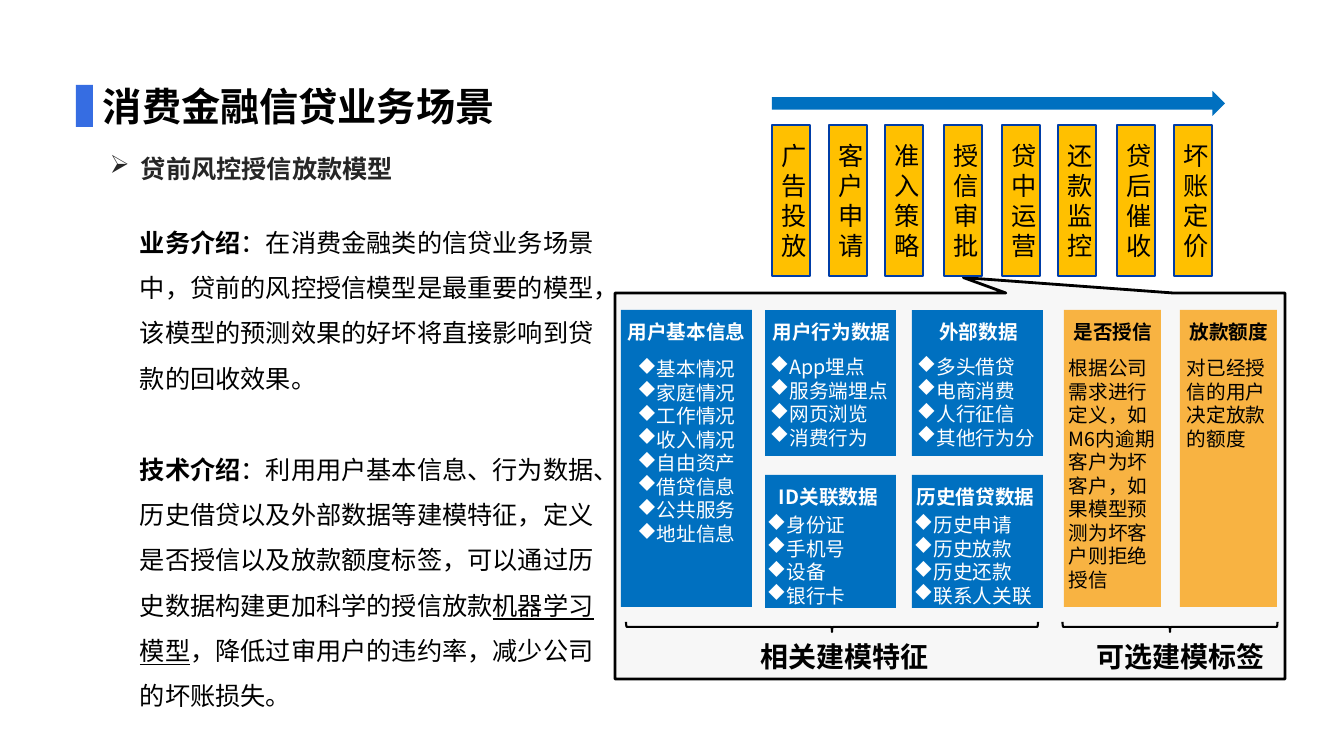
from lxml.etree import SubElement
from pptx import Presentation
from pptx.dml.color import RGBColor
from pptx.enum.shapes import MSO_SHAPE as Shape
from pptx.enum.text import MSO_ANCHOR as Anchor, PP_ALIGN as Align
from pptx.oxml.ns import qn
from pptx.util import Pt

FONT = "Noto Sans CJK SC"
BLACK = RGBColor(0x00, 0x00, 0x00)
WHITE = RGBColor(0xFF, 0xFF, 0xFF)
CHARCOAL = RGBColor(0x26, 0x26, 0x26)
ACCENT = RGBColor(0x36, 0x6D, 0xE2)
BLUE = RGBColor(0x00, 0x70, 0xC0)
NAVY = RGBColor(0x00, 0x3D, 0xA7)
YELLOW = RGBColor(0xFF, 0xC0, 0x00)
ORANGE = RGBColor(0xF8, 0xB3, 0x42)
PALE = RGBColor(0xF7, 0xF7, 0xF7)

TITLE = "消费金融信贷业务场景"
SUBTITLE = "贷前风控授信放款模型"
INTRODUCTION = [
    [("业务介绍", "bold"),
     ("：在消费金融类的信贷业务场景中，贷前的风控授信模型是最重要的模型，"
      "该模型的预测效果的好坏将直接影响到贷款的回收效果。", "")],
    [("技术介绍", "bold"),
     ("：利用用户基本信息、行为数据、历史借贷以及外部数据等建模特征，"
      "定义是否授信以及放款额度标签，可以通过历史数据构建更加科学的授信放款", ""),
     ("机器学习模型", "underline"),
     ("，降低过审用户的违约率，减少公司的坏账损失。", "")],
]
STEPS = [
    ("广告投放", 772), ("客户申请", 829), ("准入策略", 885), ("授信审批", 944),
    ("贷中运营", 1002), ("还款监控", 1058), ("贷后催收", 1117), ("坏账定价", 1174),
]
# heading, lines, panel left, top, height, text left, list offset, list alignment
FEATURES = [
    ("用户基本信息", ["基本情况", "家庭情况", "工作情况", "收入情况",
                "自由资产", "借贷信息", "公共服务", "地址信息"],
     621, 310, 297, 615, 42, Align.CENTER),
    ("用户行为数据", ["App埋点", "服务端埋点", "网页浏览", "消费行为"],
     765, 310, 146, 760, 40, Align.LEFT),
    ("外部数据", ["多头借贷", "电商消费", "人行征信", "其他行为分"],
     912, 310, 146, 907, 40, Align.LEFT),
    ("ID关联数据", ["身份证", "手机号", "设备", "银行卡"],
     765, 475, 133, 757, 33, Align.LEFT),
    ("历史借贷数据", ["历史申请", "历史放款", "历史还款", "联系人关联"],
     912, 475, 133, 904, 33, Align.LEFT),
]
LABELS = [
    ("是否授信", ["根据公司", "需求进行定义，如M6内逾期客户为坏客户，如果模型预测为坏客户则拒绝授信"],
     1064, 1059),
    ("放款额度", ["对已经授信的用户决定放款的额度"], 1180, 1177),
]
GROUPS = [("相关建模特征", 729, 832, 412), ("可选建模标签", 1065, 1170, 215)]

deck = Presentation()


def px(value):
    return round(value * 914400 / 100.8)


deck.slide_width, deck.slide_height = px(1344), px(756)
page = deck.slides.add_slide(deck.slide_layouts[6])


def add_shape(kind, left, top, width, height, fill=None, line=None, weight=2):
    shape = page.shapes.add_shape(kind, px(left), px(top), px(width), px(height))
    shape.shadow.inherit = False
    if fill is None:
        shape.fill.background()
    else:
        shape.fill.solid()
        shape.fill.fore_color.rgb = fill
    if line is None:
        shape.line.fill.background()
    else:
        shape.line.color.rgb = line
        shape.line.width = Pt(weight)
    return shape


def style(span, size, color, bold=False, underline=None):
    span.font.name = FONT
    span.font.size = Pt(size)
    span.font.color.rgb = color
    span.font.bold = bold
    span.font.underline = underline
    SubElement(span.font._element, qn("a:ea"), typeface=FONT)


def add_bullet(para, mark, indent):
    props = para._p.get_or_add_pPr()
    props.set("marL", str(px(indent)))
    props.set("indent", str(-px(indent)))
    SubElement(props, qn("a:buFont"), typeface="Wingdings")
    SubElement(props, qn("a:buChar"), char=mark)


def add_text(lines, left, top, width, height, size, color, bold=False,
             align=Align.LEFT, mark=None, indent=19):
    box = page.shapes.add_textbox(px(left), px(top), px(width), px(height))
    frame = box.text_frame
    frame.word_wrap = True
    frame.text = "\n".join(lines)
    for para in frame.paragraphs:
        para.alignment = align
        if mark:
            add_bullet(para, mark, indent)
        for span in para.runs:
            style(span, size, color, bold)


def add_introduction():
    box = page.shapes.add_textbox(px(130), px(207), px(485), px(509))
    frame = box.text_frame
    frame.word_wrap = True
    for number, parts in enumerate(INTRODUCTION):
        para = frame.add_paragraph() if number else frame.paragraphs[0]
        para.line_spacing = 1.5
        if number:
            para.space_before = Pt(32.4)
        for words, look in parts:
            span = para.add_run()
            span.text = words
            style(span, 18, BLACK, look == "bold", look == "underline")


def add_step(name, left):
    step = add_shape(Shape.RECTANGLE, left, 125, 38, 151, YELLOW, NAVY)
    frame = step.text_frame
    frame.word_wrap = True
    frame.vertical_anchor = Anchor.MIDDLE
    frame.text = name
    frame.paragraphs[0].alignment = Align.CENTER
    style(frame.paragraphs[0].runs[0], 18, BLACK)


add_shape(Shape.RECTANGLE, 76, 85, 17, 42, ACCENT)
add_text([TITLE], 93, 77, 725, 54, 28, BLACK, True)
add_text([SUBTITLE], 100, 148, 359, 40, 18, CHARCOAL, True, mark="Ø", indent=31)

callout = add_shape(Shape.RECTANGULAR_CALLOUT, 615, 293, 670, 386, PALE, BLACK)
callout.adjustments[0] = 0.02
callout.adjustments[1] = -0.54
add_introduction()

for heading, items, left, top, height, text_left, offset, align in FEATURES:
    add_shape(Shape.RECTANGLE, left, top, 131, height, BLUE)
    add_text([heading], text_left, top + 5, 143, 34, 14, WHITE, True, Align.CENTER)
    add_text(items, text_left, top + offset, 143, 24 * len(items) + 10, 14, WHITE,
             align=align, mark="u")

for heading, lines, left, text_left in LABELS:
    add_shape(Shape.RECTANGLE, left, 310, 97, 297, ORANGE)
    add_text([heading], left - 5, 315, 108, 34, 14, BLACK, True, Align.CENTER)
    add_text(lines, text_left, 351, 108, 248, 14, BLACK)

for name, left, center, span_width in GROUPS:
    add_text([name], left, 635, 231, 44, 20, BLACK, True, Align.CENTER)
    brace = add_shape(Shape.RIGHT_BRACE, center - 5, 627 - span_width / 2,
                      10, span_width, line=BLACK, weight=1.5)
    brace.rotation = 90

add_shape(Shape.RIGHT_ARROW, 772, 91, 453, 25, BLUE)
for name, left in STEPS:
    add_step(name, left)

deck.save("out.pptx")
